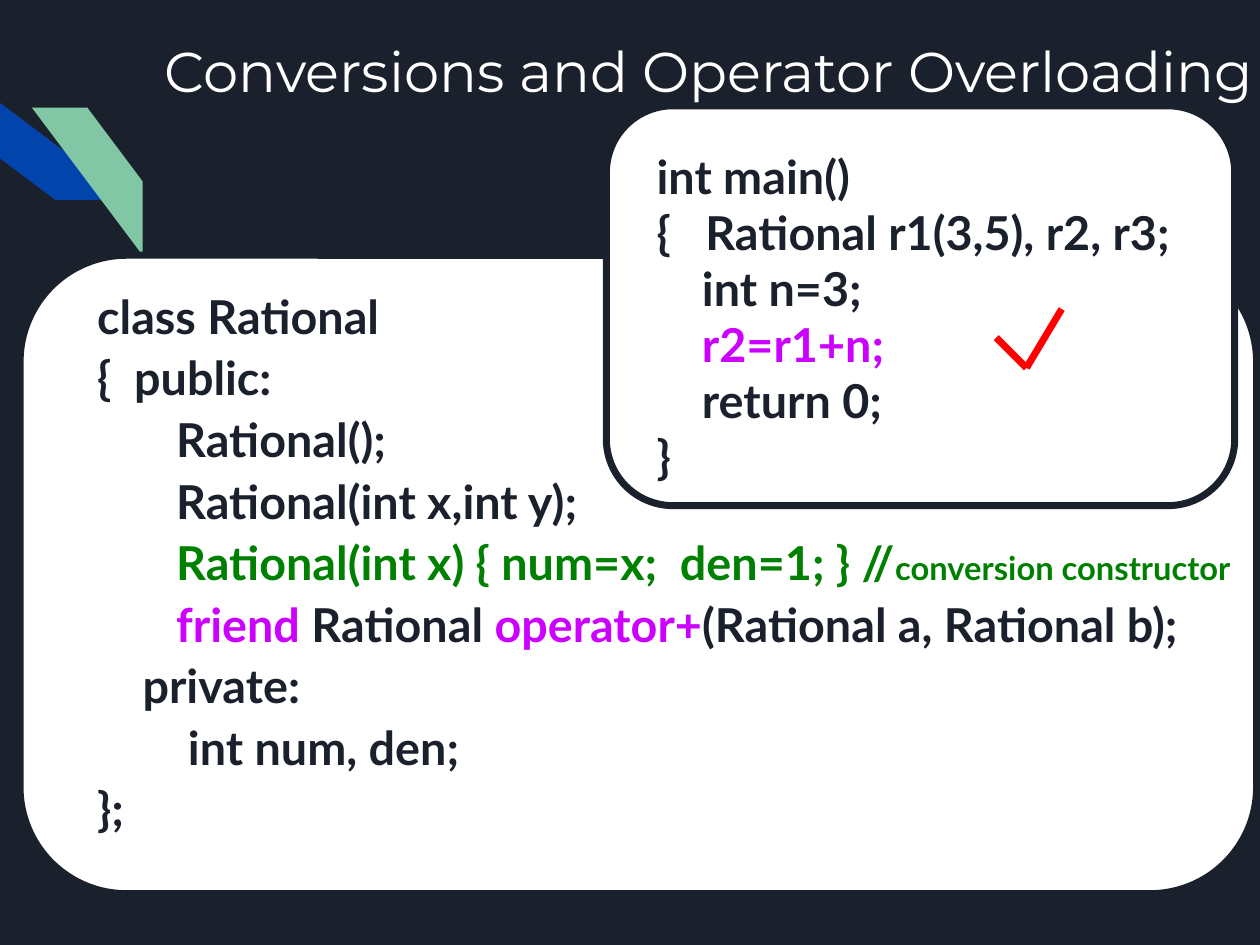
from lxml import etree
from pptx import Presentation
from pptx.dml.color import RGBColor
from pptx.enum.shapes import MSO_CONNECTOR, MSO_SHAPE
from pptx.enum.text import MSO_ANCHOR
from pptx.oxml.ns import qn
from pptx.util import Inches, Pt

STRIPE = MSO_SHAPE.DIAGONAL_STRIPE
ROUNDED = MSO_SHAPE.ROUNDED_RECTANGLE
STRAIGHT = MSO_CONNECTOR.STRAIGHT
TOP = MSO_ANCHOR.TOP

SLIDE_WIDTH = 7.5
SLIDE_HEIGHT = SLIDE_WIDTH * 3 / 4

NAVY, WHITE, RED = "1B212C", "FFFFFF", "FF0000"
BLUE, MINT = "0145AC", "82C7A5"
GREEN, MAGENTA = "008000", "CC00FF"


def rgb(hex_string):
    return RGBColor.from_string(hex_string)


class CodeSlide:
    code_font, code_size = "Lato", 20
    title_font, title_size = "Montserrat", 24
    line_width = Pt(3)

    def __init__(self, slide):
        self.slide = slide
        self.shapes = slide.shapes
        background = slide.background.fill
        background.solid()
        background.fore_color.rgb = rgb(NAVY)

    def filled(self, kind, box, color):
        shape = self.shapes.add_shape(kind, *map(Inches, box))
        shape.shadow.inherit = False
        shape.fill.solid()
        shape.fill.fore_color.rgb = rgb(color)
        shape.line.fill.background()
        return shape

    def stripe(self, box, color, rotation=0, mirrored=False):
        stripe = self.filled(STRIPE, box, color)
        stripe.rotation = rotation
        if mirrored:
            stripe._element.spPr.find(qn("a:xfrm")).set("flipH", "1")

    def panel(self, box):
        panel = self.filled(ROUNDED, box, WHITE)
        panel.line.color.rgb = rgb(NAVY)
        panel.line.width = self.line_width

    def text_frame(self, box):
        frame = self.shapes.add_textbox(*map(Inches, box)).text_frame
        frame.word_wrap = True
        frame.vertical_anchor = TOP
        return frame

    def add_run(self, paragraph, text, font, size, color, bold=False):
        run = paragraph.add_run()
        run.text = text
        run.font.name = font
        run.font.size = Pt(size)
        run.font.color.rgb = rgb(color)
        run.font.bold = bold

    def title(self, box, text):
        frame = self.text_frame(box)
        frame.margin_left = frame.margin_right = Inches(0.07)
        frame.margin_top = frame.margin_bottom = Inches(0.07)
        self.add_run(frame.paragraphs[0], text, self.title_font, self.title_size, WHITE)

    def code(self, box, lines, spacing=1.0):
        """Each line is an indent in inches and its (text, color, size) pieces.

        A tab after an opening brace reaches the indent of its line.
        """
        frame = self.text_frame(box)
        for number, (indent, *pieces) in enumerate(lines):
            paragraph = frame.add_paragraph() if number else frame.paragraphs[0]
            paragraph.line_spacing = spacing
            hanging = "\t" in pieces[0][0]
            properties = paragraph._p.get_or_add_pPr()
            properties.set("marL", str(Inches(indent)))
            properties.set("indent", str(-Inches(indent) if hanging else 0))
            for text, color, *size in pieces:
                self.add_run(paragraph, text, self.code_font,
                             size[0] if size else self.code_size, color, bold=True)

    def stroke(self, start, end, color):
        stroke = self.shapes.add_connector(STRAIGHT, *map(Inches, start + end))
        stroke.line.color.rgb = rgb(color)
        stroke.line.width = self.line_width
        etree.SubElement(stroke._element.spPr, qn("a:effectLst"))


def main():
    presentation = Presentation()
    presentation.slide_width = Inches(SLIDE_WIDTH)
    presentation.slide_height = Inches(SLIDE_HEIGHT)
    page = CodeSlide(presentation.slides.add_slide(presentation.slide_layouts[6]))

    page.stripe((0, 0.42, 0.66, 0.88), BLUE, rotation=270)
    page.stripe((0.19, 0.64, 0.66, 0.88), MINT, mirrored=True)
    page.title((0.91, 0.15, 6.75, 0.75), "Conversions and Operator Overloading")

    member = 0.47
    page.panel((0.12, 1.52, 7.36, 3.8))
    page.code((0.48, 1.63, 7.02, 3.69), [
        (0, ("class Rational", NAVY)),
        (0.22, ("{\tpublic:", NAVY)),
        (member, ("Rational();", NAVY)),
        (member, ("Rational(int x,int y);", NAVY)),
        (member, ("Rational(int x) { num=x;  den=1; } //", GREEN),
         ("conversion constructor", GREEN, 14)),
        (member, ("friend", MAGENTA), (" Rational ", NAVY),
         ("operator+", MAGENTA), ("(Rational a, Rational b);", NAVY)),
        (0.27, ("private:", NAVY)),
        (0.54, ("int num, den;", NAVY)),
        (0, ("};", NAVY)),
    ], spacing=1.1)

    statement = 0.27
    page.panel((3.61, 0.63, 3.74, 2.38))
    page.code((3.81, 0.83, 3.52, 1.83), [
        (0, ("int main()", NAVY)),
        (0.29, ("{\tRational r1(3,5), r2, r3;", NAVY)),
        (statement, ("int n=3;", NAVY)),
        (statement, ("r2=r1+n;", MAGENTA)),
        (statement, ("return 0;", NAVY)),
        (0, ("}", NAVY)),
    ])

    check_bottom = (6.11, 2.19)
    for check_end in ((5.93, 2.01), (6.32, 1.84)):
        page.stroke(check_end, check_bottom, RED)

    presentation.save("out.pptx")


if __name__ == "__main__":
    main()
